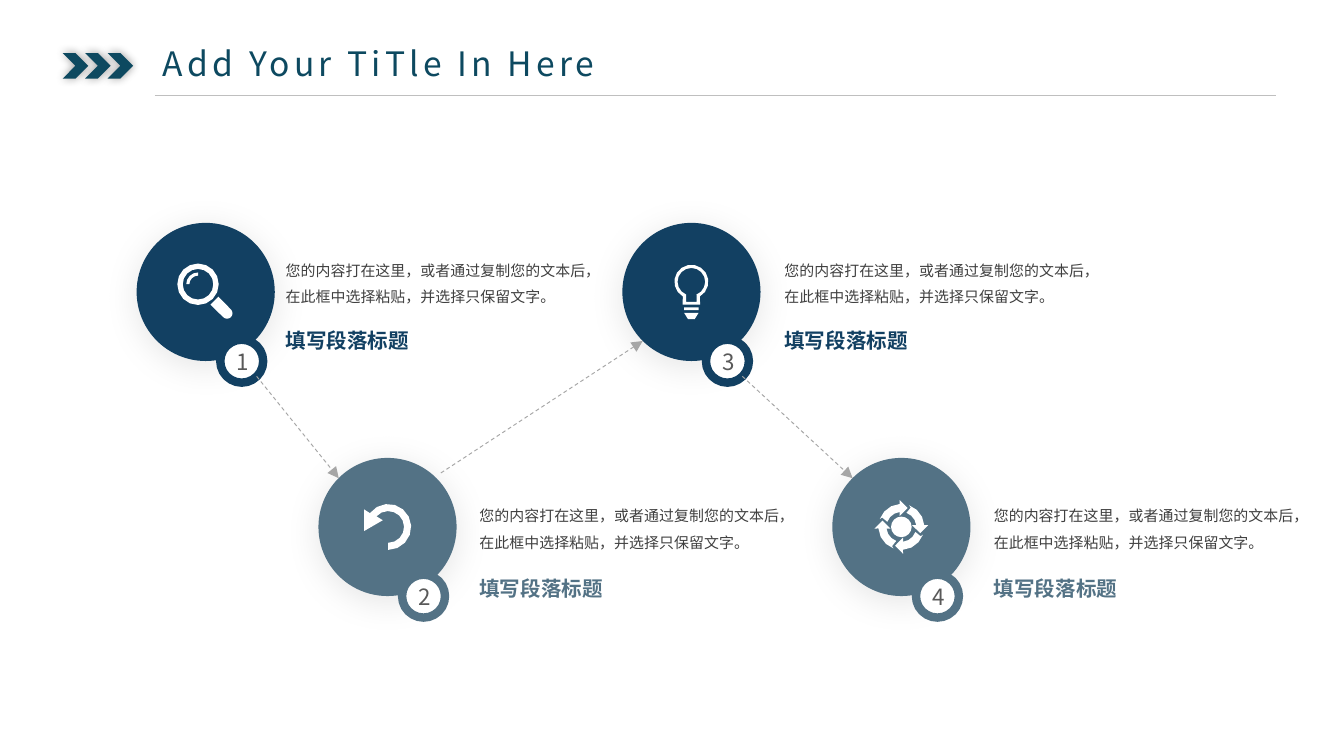
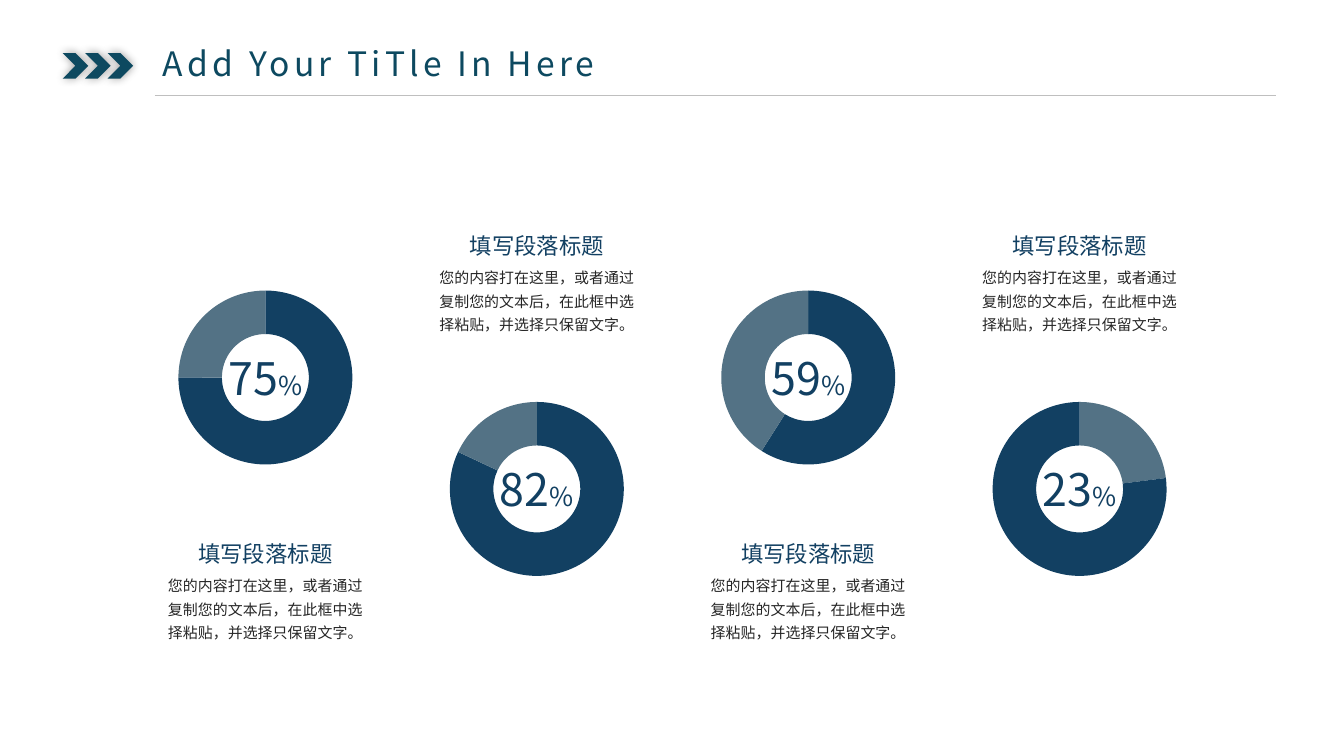
from math import cos, radians, sin

from lxml import etree
from pptx import Presentation
from pptx.chart.data import CategoryChartData
from pptx.dml.color import RGBColor
from pptx.enum.chart import XL_CHART_TYPE
from pptx.enum.dml import MSO_LINE
from pptx.enum.shapes import MSO_CONNECTOR, MSO_SHAPE
from pptx.enum.text import MSO_ANCHOR, MSO_AUTO_SIZE, PP_ALIGN
from pptx.oxml import parse_xml
from pptx.oxml.ns import nsdecls, qn
from pptx.util import Pt

DOUGHNUT = XL_CHART_TYPE.DOUGHNUT
DASH = MSO_LINE.DASH
STRAIGHT = MSO_CONNECTOR.STRAIGHT
CHEVRON, OVAL = MSO_SHAPE.CHEVRON, MSO_SHAPE.OVAL
TOP, MIDDLE = MSO_ANCHOR.TOP, MSO_ANCHOR.MIDDLE
GROW = MSO_AUTO_SIZE.SHAPE_TO_FIT_TEXT
LEFT, CENTER = PP_ALIGN.LEFT, PP_ALIGN.CENTER

COLORS = {
    "title": "0D4960", "navy": "124062", "slate": "537285",
    "white": "FFFFFF", "rule": "BFBFBF", "arrow": "A6A6A6",
    "number": "595959", "step": "404040", "card": "262626", "black": "000000",
}
TITLE_FONT = "Noto Sans CJK JP"
FONT = "Noto Sans CJK SC"
TITLE = "Add Your TiTle In Here"
HEADING = "填写段落标题"
BODY = "您的内容打在这里，或者通过复制您的文本后，在此框中选择粘贴，并选择只保留文字。"
CHEVRON_SHADOW = 'blurRad="63500" algn="ctr"', 40
CIRCLE_SHADOW = ('blurRad="241300" dist="38100" dir="5400000" sx="100000" sy="-17000" '
                 'algn="b" rotWithShape="0"', 10)
CIRCLE, BADGE = 74, 23


def color(name):
    return RGBColor.from_string(COLORS[name])


def arc(radius, start, end, x=0, y=0):
    count = max(2, round(abs(end - start) / 22.5))
    angles = [radians(start + (end - start) * i / count) for i in range(count + 1)]
    return [(x + radius * cos(a), y + radius * sin(a)) for a in angles]


def magnifier():
    lens = -4.1
    handle = arc(2.9, -45, 135, 11.5, 11.5) + [(2.6, 6.9), (6.9, 2.6)]
    rim = [arc(11.1, 0, 360, lens, lens), arc(8.2, 360, 0, lens, lens)]
    glint = arc(6.3, 180, 270, lens, lens) + arc(4.6, 270, 180, lens, lens)
    return [[handle], rim, [glint]]


def bulb():
    return [[
        arc(9.1, 120, 420, 0, -5.4) + [(4.7, 6.9), (-4.7, 6.9)],
        [(-2.8, 5.4), (2.8, 5.4)] + arc(7.4, 428, 112, 0, -5.4),
        [(-3.9, 8.3), (3.9, 8.3), (3.9, 9.8), (-3.9, 9.8)],
        [(-3.9, 11.2), (3.9, 11.2), (1.8, 14.6), (-1.8, 14.6)],
    ]]


def undo():
    head = [(-2.5, -3.6), (-12.5, 2.2), (-12.5, -9.4)]
    return [[arc(12.3, -143, 90, 0.4) + arc(8.5, 90, -138, 0.4) + head]]


def cycle():
    blade = (arc(8, 200, 263) + [(-0.9, -5.8), (3.4, -10.1), (-0.9, -14.4)]
             + arc(12.3, 266, 200) + [(-10.3, -5)])
    blades = []
    for _ in range(4):
        blades.append(blade)
        blade = [(-y, x) for x, y in blade]
    return [blades + [arc(5.5, 0, 360)]]


class Deck:
    def __init__(self):
        self.prs = Presentation()
        self.prs.slide_width, self.prs.slide_height = Pt(720), Pt(405)
        self.slide = None

    def new_slide(self):
        self.slide = self.prs.slides.add_slide(self.prs.slide_layouts[6])
        self.slide.shapes.add_group_shape([
            self.shape(CHEVRON, 33.6 + 12 * i, 28.4, 13.7, "title", CHEVRON_SHADOW)
            for i in range(3)])
        title = self.text(83, 21, 313, 26, TITLE, 18, "title",
                          font=TITLE_FONT, insets=(4.3, 2.2))
        for run in title.text_frame.paragraphs[0].runs:
            run.font._element.set("spc", "223")
        self.line((83, 51.3), (683.7, 51.3), "rule")

    def paint(self, shape, fill):
        shape.shadow.inherit = False
        shape.fill.solid()
        shape.fill.fore_color.rgb = color(fill)
        shape.line.fill.background()

    def shape(self, kind, x, y, size, fill, shadow=None):
        shape = self.slide.shapes.add_shape(kind, Pt(x), Pt(y), Pt(size), Pt(size))
        self.paint(shape, fill)
        if shadow:
            geometry, alpha = shadow
            effects = shape._element.spPr.find(qn("a:effectLst"))
            effects.append(parse_xml(
                f'<a:outerShdw {nsdecls("a")} {geometry}><a:srgbClr val="{COLORS["black"]}">'
                f'<a:alpha val="{alpha * 1000}"/></a:srgbClr></a:outerShdw>'))
        return shape

    def style_run(self, run, size, ink, bold=None, font=FONT):
        run.font.size, run.font.name, run.font.bold = Pt(size), font, bold
        run.font.color.rgb = color(ink)
        etree.SubElement(run.font._element, qn("a:ea")).set("typeface", font)

    def set_frame(self, frame, insets, wrap, anchor):
        frame.margin_left = frame.margin_right = Pt(insets[0])
        frame.margin_top = frame.margin_bottom = Pt(insets[1])
        frame.word_wrap, frame.vertical_anchor = wrap, anchor

    def text(self, x, y, width, height, words, size, ink, bold=None, align=LEFT,
             spacing=None, wrap=True, anchor=TOP, insets=(5.4, 2.7), font=FONT):
        box = self.slide.shapes.add_textbox(Pt(x), Pt(y), Pt(width), Pt(height))
        frame = box.text_frame
        frame.text = words
        self.set_frame(frame, insets, wrap, anchor)
        frame.auto_size = GROW
        paragraph = frame.paragraphs[0]
        paragraph.alignment, paragraph.line_spacing = align, spacing
        self.style_run(paragraph.runs[0], size, ink, bold, font)
        return box

    def line(self, start, end, ink, arrow=False):
        points = [Pt(v) for v in (*start, *end)]
        line = self.slide.shapes.add_connector(STRAIGHT, *points)
        line.line.color.rgb = color(ink)
        line.line.width = Pt(0.5)
        if arrow:
            line.line.dash_style = DASH
            etree.SubElement(line.line._ln, qn("a:tailEnd")).set("type", "triangle")
        etree.SubElement(line._element.spPr, qn("a:effectLst"))

    def badge(self, x, y, number, ring):
        badge = self.shape(OVAL, x, y, BADGE, "white")
        badge.line.color.rgb = color(ring)
        badge.line.width = Pt(4.5)
        badge.text_frame.text = number
        self.set_frame(badge.text_frame, (5.4, 2.7), True, MIDDLE)
        paragraph = badge.text_frame.paragraphs[0]
        paragraph.alignment = CENTER
        self.style_run(paragraph.runs[0], 12, "number")

    def outline(self, x, y, contours):
        placed = [[(Pt(x + dx), Pt(y + dy)) for dx, dy in contour] for contour in contours]
        builder = self.slide.shapes.build_freeform(*placed[0][0])
        for i, contour in enumerate(placed):
            if i:
                builder.move_to(*contour[0])
            builder.add_line_segments(contour[1:], close=True)
        outline = builder.convert_to_shape()
        self.paint(outline, "white")
        return outline

    def icon(self, x, y, parts):
        outlines = [self.outline(x, y, part) for part in parts]
        if len(outlines) > 1:
            self.slide.shapes.add_group_shape(outlines)

    def doughnut(self, x, y, width, height, values, fills):
        data = CategoryChartData()
        data.categories = ["1", "2"]
        data.add_series("Series 1", values)
        chart = self.slide.shapes.add_chart(
            DOUGHNUT, Pt(x), Pt(y), Pt(width), Pt(height), data).chart
        chart.has_legend = chart.has_title = False
        chart.font.size, chart.font.name = Pt(18), FONT
        chart.font.color.rgb = color("black")
        plot = chart.plots[0]
        plot.vary_by_categories = True
        plot._element.find(qn("c:holeSize")).set("val", "84")
        for i, fill in enumerate(fills):
            part = plot.series[0].points[i].format
            part.fill.solid()
            part.fill.fore_color.rgb = color(fill)
            part.line.fill.background()
        area = plot._element.getparent()
        for layout in area.findall(qn("c:layout")):
            area.remove(layout)
        area.insert(0, parse_xml(
            f'<c:layout {nsdecls("c")}><c:manualLayout><c:layoutTarget val="inner"/>'
            '<c:xMode val="edge"/><c:yMode val="edge"/><c:x val="0.0875"/><c:y val="0.1"/>'
            '<c:w val="0.825"/><c:h val="0.8"/></c:manualLayout></c:layout>'))

    def percent(self, center, y, value):
        box = self.text(center - 25.5, y, 51, 34.6, str(value), 24, "navy",
                        align=CENTER, wrap=False, anchor=MIDDLE)
        sign = box.text_frame.paragraphs[0].add_run()
        sign.text = "%"
        self.style_run(sign, 14, "navy")


def build_steps(deck):
    deck.new_slide()
    upper = (119.4, 13.1, 53.8, "navy")
    lower = (245.3, 18.9, 60.7, "slate")
    steps = [
        (73.2, 147.6, upper, magnifier()), (170.6, 251.4, lower, undo()),
        (333.4, 414.8, upper, bulb()), (445.9, 527, lower, cycle()),
    ]
    for number, (x, text_x, row, _) in enumerate(steps, 1):
        y, body_gap, heading_gap, fill = row
        deck.shape(OVAL, x, y, CIRCLE, fill, CIRCLE_SHADOW)
        deck.badge(x + 44.8, y + 62.6, str(number), fill)
        deck.text(text_x, y + heading_gap, 77.8, 18.7, HEADING, 11, fill,
                  bold=True, wrap=False)
        deck.text(text_x, y + body_gap, 186.5, 33, BODY, 8, "step", spacing=1.5)

    below_badge, above_right = (64.3, 82.2), (65.6, 8.1)
    upper_left, lower_left = (10.9, 10.9), (10.9, 63.3)
    links = [(0, below_badge, upper_left), (1, above_right, lower_left),
             (2, below_badge, upper_left)]
    for i, leave, enter in links:
        ends = [(steps[k][0] + dx, steps[k][2][0] + dy)
                for k, (dx, dy) in ((i, leave), (i + 1, enter))]
        deck.line(*ends, "arrow", arrow=True)

    for x, _, row, icon in reversed(steps):
        deck.icon(x + CIRCLE / 2, row[0] + CIRCLE / 2, icon)


def build_shares(deck):
    deck.new_slide()
    chart_width, chart_height = 113, 116.6
    for i, share in enumerate((75, 82, 59, 23)):
        center = 142.2 + 145.4 * i
        chart_y, heading_y = ((144, 282.2), (203.7, 117.2))[i % 2]
        fills = ("navy", "slate") if share > 50 else ("slate", "navy")
        deck.doughnut(center - chart_width / 2, chart_y, chart_width, chart_height,
                      (share, 100 - share), fills)
        deck.text(center - 59, heading_y + 21.4, 118, 43.2, BODY, 8, "card",
                  align=CENTER, spacing=1.3)
        deck.text(center - 41.8, heading_y, 83.6, 20.2, HEADING, 12, "navy",
                  align=CENTER, spacing=1.5, wrap=False, insets=(5.4, 0))
        deck.percent(center, chart_y + 41, share)


def main():
    deck = Deck()
    build_steps(deck)
    build_shares(deck)
    deck.prs.save("out.pptx")


if __name__ == "__main__":
    main()
